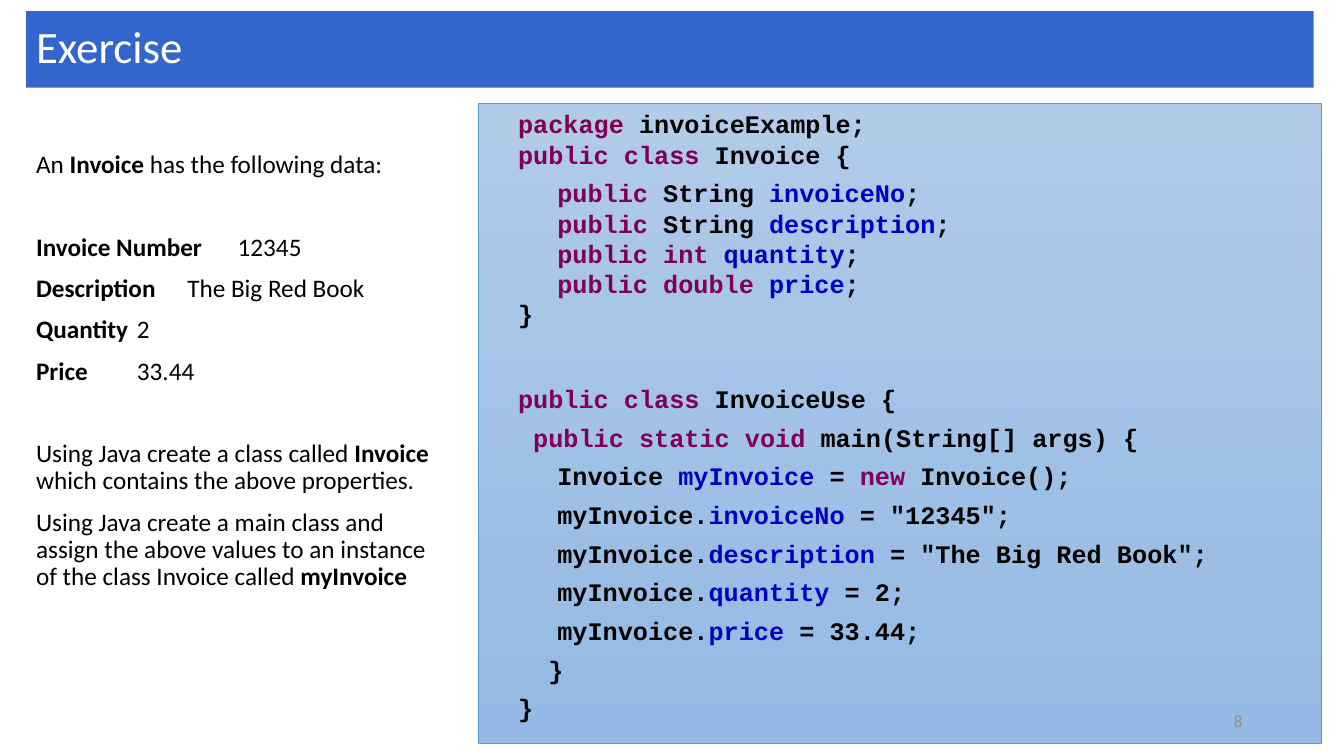
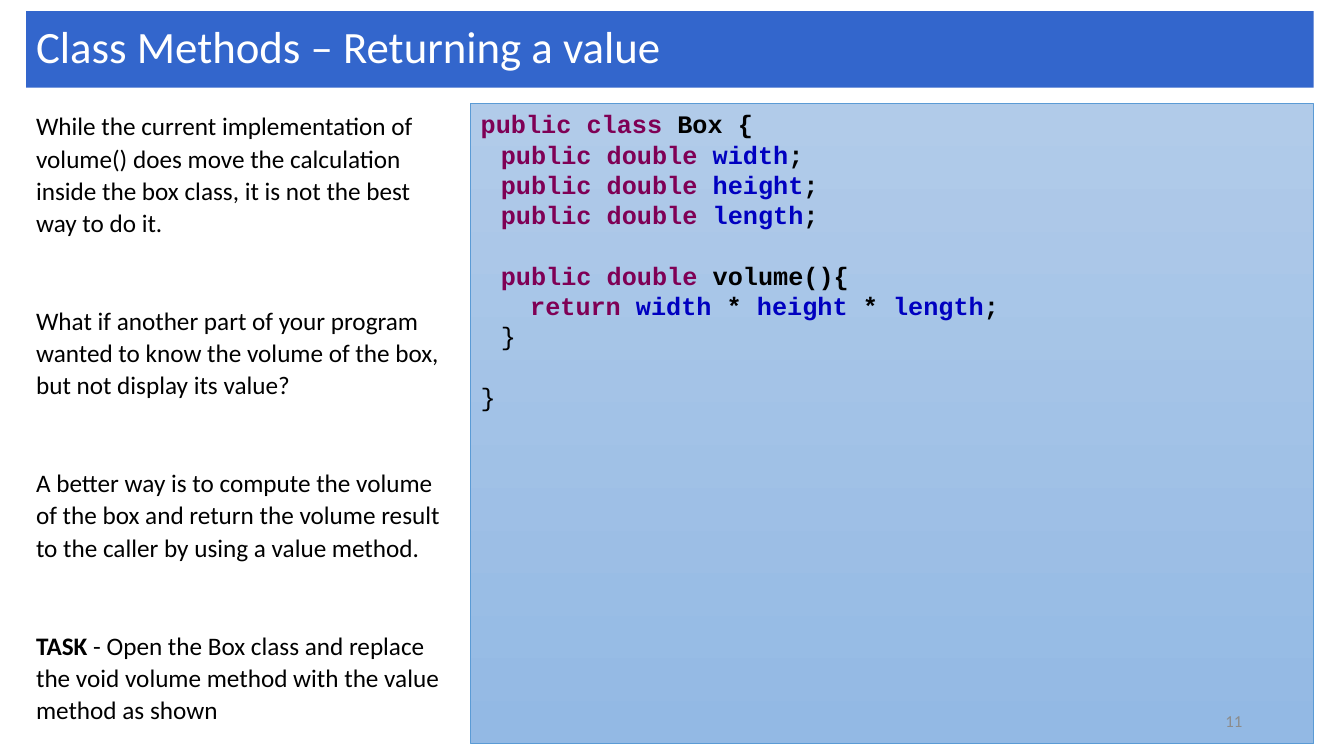
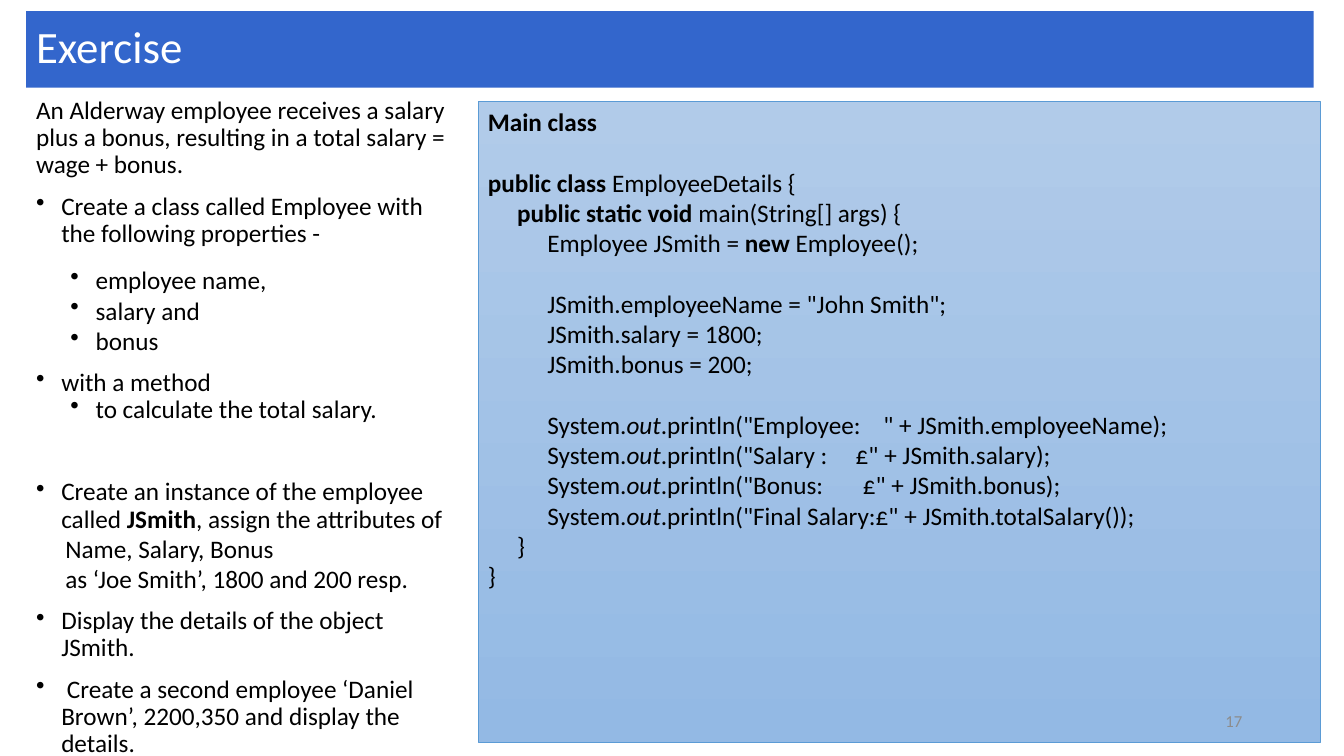
from dataclasses import dataclass

from lxml import etree
from pptx import Presentation
from pptx import util as u
from pptx.dml.color import RGBColor
from pptx.enum import shapes, text
from pptx.oxml.ns import qn


@dataclass(frozen=True)
class Theme:
    band: str = "3366CC"
    panel_top: str = "B1CBE9"
    panel_bottom: str = "93B9E4"
    panel_line: str = "5B9BD5"
    white: str = "FFFFFF"
    black: str = "000000"
    keyword: str = "7F0055"
    field: str = "0000C0"
    number: str = "8C8C8C"
    sans: str = "Calibri"
    mono: str = "Courier New"
    title_size: float = 32
    text_size: float = 18
    number_size: float = 12
    code_line: float = 21.6
    gap: float = 10
    blank_line: float = 39.5


theme = Theme()
PLAIN, BOLD, ITALIC = "plain", "bold", "italic"
KEYWORD, FIELD, CODE = "keyword", "field", "code"
run_styles = {
    PLAIN: (theme.sans, theme.black, False, False),
    BOLD: (theme.sans, theme.black, True, False),
    ITALIC: (theme.sans, theme.black, False, True),
    KEYWORD: (theme.mono, theme.keyword, True, False),
    FIELD: (theme.mono, theme.field, True, False),
    CODE: (theme.mono, theme.black, True, False),
    "code_light": (theme.mono, theme.black, False, False),
    "title": (theme.sans, theme.white, False, False),
    "number": (theme.sans, theme.number, False, False),
}

presentation = Presentation()
presentation.slide_width = u.Inches(13.33)
presentation.slide_height = u.Inches(7.5)
column = presentation.slide_width / 100
row = presentation.slide_height / 100


def add_box(slide, left, top, width, height, filled=False):
    place = [int(value) for value in (left * column, top * row, width * column, height * row)]
    if filled:
        shape = slide.shapes.add_shape(shapes.MSO_SHAPE.RECTANGLE, *place)
        shape.shadow.inherit = False
    else:
        shape = slide.shapes.add_textbox(*place)
    shape.text_frame.word_wrap = True
    shape.text_frame.vertical_anchor = text.MSO_ANCHOR.TOP
    return shape


def write(shape, paragraphs, size=theme.text_size, align=text.PP_ALIGN.LEFT, **defaults):
    for index, (runs, options) in enumerate(paragraphs):
        frame = shape.text_frame
        paragraph = frame.add_paragraph() if index else frame.paragraphs[0]
        layout = {**defaults, **options}
        properties = paragraph._p.get_or_add_pPr()
        properties.set("marL", str(u.Inches(layout.get("indent", 0))))
        properties.set("indent", str(u.Inches(-0.25 if layout.get("bullet") else 0)))
        if layout.get("bullet"):
            etree.SubElement(properties, qn("a:buChar"), char="•")
        if layout.get("tab"):
            tabs = etree.SubElement(properties, qn("a:tabLst"))
            etree.SubElement(tabs, qn("a:tab"), pos=str(u.Inches(layout["tab"])), algn="l")
        paragraph.alignment = align
        paragraph.line_spacing = layout.get("line", 1.0)
        paragraph.space_before = u.Pt(layout.get("before", 0) if index else 0)
        paragraph.space_after = u.Pt(layout.get("after", 0))
        for style, words in runs:
            run = paragraph.add_run()
            run.text = words
            font = run.font
            font.name, colour, font.bold, font.italic = run_styles[style]
            font.size = u.Pt(size)
            font.color.rgb = RGBColor.from_string(colour)


after_blank = {"before": theme.blank_line}
tabbed = {"tab": 2}
invoice_text = [
    ([(PLAIN, "An "), (BOLD, "Invoice"), (PLAIN, " has the following data:")], {}),
    ([(BOLD, "Invoice Number "), (PLAIN, "\t12345")], {**tabbed, **after_blank}),
    ([(BOLD, "Description"), (PLAIN, " \tThe Big Red Book")], tabbed),
    ([(BOLD, "Quantity"), (PLAIN, "\t2")], tabbed),
    ([(BOLD, "Price"), (PLAIN, "\t33.44")], tabbed),
    ([(PLAIN, "Using Java create a class called "), (BOLD, "Invoice"),
      (PLAIN, " which contains the above properties.")], after_blank),
    ([(PLAIN, "Using Java create a main class and assign the above values to an instance "
       "of the class Invoice called "), (BOLD, "myInvoice")], {}),
]

spaced = {"after": 6}
inner = {"indent": 0.68}
invoice_code = [
    ([(KEYWORD, "package "), (CODE, "invoiceExample;")], {}),
    ([(KEYWORD, "public class"), (CODE, " Invoice {")], spaced),
]
for keyword, kind, name in (
    ("public", " String ", "invoiceNo"),
    ("public", " String ", "description"),
    ("public int ", "", "quantity"),
    ("public double ", "", "price"),
):
    kind_runs = [(CODE, kind)] if kind else []
    invoice_code.append(([(KEYWORD, keyword), *kind_runs, (FIELD, name), (CODE, ";")], inner))
invoice_code += [
    ([(CODE, "}")], {}),
    ([(KEYWORD, "public class "), (CODE, "InvoiceUse {")], {**spaced, "before": 39}),
    ([(KEYWORD, " public static void "), (CODE, "main(String[] args) {")], spaced),
    ([(CODE, "Invoice "), (FIELD, "myInvoice"), (CODE, " = "), (KEYWORD, "new"),
      (CODE, " Invoice();")], {**spaced, **inner}),
]
for name, value in (
    ("invoiceNo", '"12345"'),
    ("description", '"The Big Red Book"'),
    ("quantity", "2"),
    ("price", "33.44"),
):
    runs = [(CODE, "myInvoice."), (FIELD, name), (CODE, f" = {value};")]
    invoice_code.append((runs, {**spaced, **inner}))
invoice_code += [([(CODE, "  }")], spaced), ([(CODE, "}")], spaced)]

method_text = [
    ([(PLAIN, "While the current implementation of volume() does move the calculation "
       "inside the box class, it is not the best way to do it.")], {}),
    ([(PLAIN, "What if another part of your program wanted to know the volume of the box, "
       "but not display its value?")], {}),
    ([(PLAIN, "A better way is to compute the volume of the box and return the volume result "
       "to the caller by using a value method.")], {}),
    ([(BOLD, "TASK"), (PLAIN, " - Open the Box class and replace the void volume method "
       "with the value method as shown")], {"after": 0}),
]

member = {"indent": 0.2}
code_gap = {"before": theme.code_line}
method_code = [([(KEYWORD, "public class"), (CODE, " Box {")], {})]
for name in ("width", "height", "length"):
    method_code.append(([(KEYWORD, "public double "), (FIELD, name), (CODE, ";")], member))
method_code += [
    ([(KEYWORD, "public double"), (CODE, " volume(){")], {**member, **code_gap}),
    ([(KEYWORD, "return "), (FIELD, "width"), (CODE, " * "), (FIELD, "height"), (CODE, " * "),
      (FIELD, "length"), (CODE, ";")], {"indent": 0.49}),
    ([("code_light", "}")], member),
    ([("code_light", "}")], code_gap),
]

bullet = {"indent": 0.25, "bullet": True}
sub_bullet = {"indent": 0.59, "bullet": True, "before": 0, "line": 1.0}
continuation = {"indent": 0.29, "before": 0, "line": 1.0}
employee_text = [
    ([(PLAIN, "An Alderway employee receives a salary plus a bonus, resulting in a total "
       "salary = wage + bonus.")], {}),
    ([(PLAIN, "Create a class called Employee with the following properties -")],
     {**bullet, "after": 12}),
    ([(PLAIN, "employee name,")], sub_bullet),
    ([(PLAIN, "salary and")], sub_bullet),
    ([(PLAIN, "bonus")], sub_bullet),
    ([(PLAIN, "with a method")], bullet),
    ([(PLAIN, "to calculate the total salary.")], {**sub_bullet, "line": 0.9}),
    ([(PLAIN, "Create an instance of the employee called "), (BOLD, "JSmith"),
      (PLAIN, ", assign the attributes of")], {**bullet, **after_blank}),
    ([(PLAIN, "Name, Salary, Bonus")], continuation),
    ([(PLAIN, "as ‘Joe Smith’, 1800 and 200 resp.")], continuation),
    ([(PLAIN, "Display the details of the object JSmith.")], bullet),
    ([(PLAIN, " Create a second employee ‘Daniel Brown’, 2200,350 and display the details.")],
     bullet),
]

method = {"indent": 0.29}
statement = {"indent": 0.59}
employee_code = [
    ([(BOLD, "Main class")], {}),
    ([(BOLD, "public class "), (PLAIN, "EmployeeDetails {")], code_gap),
    ([(BOLD, "public static void"), (PLAIN, " main(String[] args) {")], method),
    ([(PLAIN, "Employee JSmith = "), (BOLD, "new"), (PLAIN, " Employee();")], statement),
    ([(PLAIN, 'JSmith.employeeName = "John Smith";')], {**statement, **code_gap}),
    ([(PLAIN, "JSmith.salary = 1800;")], statement),
    ([(PLAIN, "JSmith.bonus = 200;")], statement),
]
for index, argument in enumerate((
    '"Employee:    " + JSmith.employeeName',
    '"Salary :     £" + JSmith.salary',
    '"Bonus:       £" + JSmith.bonus',
    '"Final Salary:£" + JSmith.totalSalary()',
)):
    runs = [(PLAIN, "System."), (ITALIC, "out"), (PLAIN, f".println({argument});")]
    employee_code.append((runs, statement if index else {**statement, **code_gap}))
employee_code += [([(PLAIN, "}")], method), ([(PLAIN, "}")], {})]

loose = {"line": 0.9, "before": theme.gap}
fixed = {"line": u.Pt(23), "after": 47}
lessons = [
    ("Exercise", "8", invoice_text, loose, 13.73, 0.48,
     invoice_code, 35.63, 13.73, {"indent": 0.29}),
    ("Class Methods – Returning a value", "11", method_text, fixed, 13.73, 0.05,
     method_code, 35.03, 13.73, {}),
    ("Exercise", "17", employee_text, loose, 12.27, 0.05,
     employee_code, 35.56, 13.47, {}),
]

for (title, number, body_text, body_layout, body_top, body_inset,
     code, panel_left, panel_top, code_layout) in lessons:
    slide = presentation.slides.add_slide(presentation.slide_layouts[6])

    band = add_box(slide, 1.95, 1.47, 95.8, 10.13, filled=True)
    band.fill.solid()
    band.fill.fore_color.rgb = RGBColor.from_string(theme.band)
    band.line.fill.background()
    band.text_frame.vertical_anchor = text.MSO_ANCHOR.MIDDLE
    write(band, [([("title", title)], {})], size=theme.title_size, line=0.9)

    body = add_box(slide, 1.95, body_top, 32.33, 83.33)
    body.text_frame.margin_top = u.Inches(body_inset)
    write(body, body_text, **body_layout)

    panel = add_box(slide, panel_left, panel_top, 62.72, 84.67, filled=True)
    panel.fill.gradient()
    panel.fill.gradient_angle = 270
    for stop, colour in zip(panel.fill.gradient_stops, (theme.panel_top, theme.panel_bottom)):
        stop.color.rgb = RGBColor.from_string(colour)
    for stop, position in zip(panel.fill.gradient_stops, (0, 1)):
        stop.position = position
    panel.line.color.rgb = RGBColor.from_string(theme.panel_line)
    panel.line.width = u.Pt(0.5)
    write(panel, code, line=u.Pt(theme.code_line), **code_layout)

    footer = add_box(slide, 70.67, 92.67, 22.5, 5.33)
    footer.text_frame.vertical_anchor = text.MSO_ANCHOR.MIDDLE
    write(footer, [([("number", number)], {})], size=theme.number_size,
          align=text.PP_ALIGN.RIGHT)

presentation.save("out.pptx")
